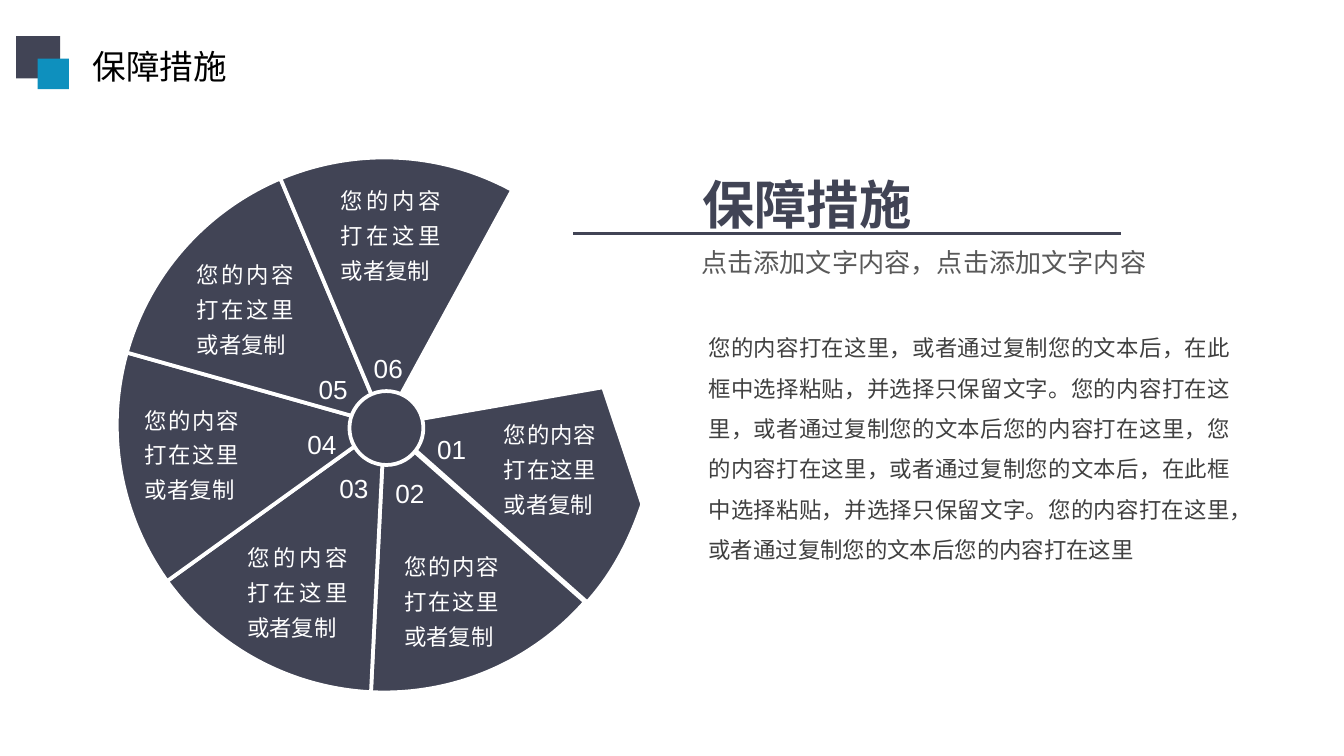
from lxml.etree import SubElement
from pptx import Presentation
from pptx.dml.color import RGBColor
from pptx.enum.shapes import MSO_CONNECTOR, MSO_SHAPE
from pptx.enum.text import MSO_AUTO_SIZE, PP_ALIGN
from pptx.oxml.ns import qn
from pptx.util import Pt

COLORS = {"navy": "414455", "blue": "0E90BE", "white": "FFFFFF",
          "black": "000000", "subtitle": "595959", "body": "404040"}
CJK = "Noto Sans CJK SC"
FORMATS = {
    "number": {"size": Pt(14), "name": "Arial"},
    "label": {"size": Pt(12), "name": CJK},
    "page_title": {"size": Pt(18), "name": CJK},
    "headline": {"size": Pt(28), "name": CJK, "bold": True},
    "subtitle": {"size": Pt(14), "name": CJK},
    "body": {"size": Pt(12), "name": CJK},
}
SEGMENT_LABEL = "您的内容打在这里或者复制"
SENTENCES = ("您的内容打在这里，或者通过复制您的文本后，在此框中选择粘贴，并选择只保留文字。"
             "您的内容打在这里，或者通过复制您的文本后您的内容打在这里")
SEGMENTS = [
    ("01", (163.5, 139.2), (200.2, 133.5, 63.8)),
    ("02", (141.2, 162.6), (146.9, 204.3, 64.8)),
    ("03", (111.2, 160.2), (62.7, 199.3, 68.4)),
    ("04", (94, 136.6), (8, 125.6, 64.4)),
    ("05", (100.1, 107.1), (35.7, 47.7, 66.4)),
    ("06", (129.6, 95.9), (112.8, 8.1, 68)),
]


def rgb(color):
    """Return the named palette colour."""
    return RGBColor.from_string(COLORS[color])


def paint(shape, fill, outline=None):
    """Fill a shape and outline it, or leave it without an outline."""
    shape.shadow.inherit = False
    shape.fill.solid()
    shape.fill.fore_color.rgb = rgb(fill)
    if outline:
        shape.line.color.rgb = rgb(outline)
        shape.line.width = Pt(2)
    else:
        shape.line.fill.background()


def add_text(slide, box, text, style, color, align=PP_ALIGN.LEFT, spacing=1.3, wrap=True):
    """Add a one-paragraph text box in one of the named formats."""
    frame = slide.shapes.add_textbox(*map(Pt, box)).text_frame
    frame.word_wrap = wrap
    frame.auto_size = MSO_AUTO_SIZE.SHAPE_TO_FIT_TEXT
    paragraph = frame.paragraphs[0]
    paragraph.alignment = align
    paragraph.line_spacing = spacing
    run = paragraph.add_run()
    run.text = text
    for attribute, value in FORMATS[style].items():
        setattr(run.font, attribute, value)
    run.font.color.rgb = rgb(color)
    SubElement(run.font._element, qn("a:ea"), typeface=FORMATS[style]["name"])


def add_header(slide, box):
    """Place the two overlapping squares and the page title."""
    left, top = box[:2]
    emblem = slide.shapes.add_group_shape()
    for x, y, width, height, color in [(0, 0, 23.6, 22.6, "navy"), (11.5, 12, 16.8, 16.4, "blue")]:
        square = emblem.shapes.add_shape(
            MSO_SHAPE.RECTANGLE, Pt(left + x), Pt(top + y), Pt(width), Pt(height))
        paint(square, color)
    add_text(slide, (left + 33.9, top + 1.5, 87, 28.8), "保障措施", "page_title", "black",
             spacing=1, wrap=False)


def add_pointed_segment(slide, center):
    """Draw the first segment, with a cut corner and a curved rim."""
    x, y = center
    rim = [(136.8, 42.5), (130.3, 61.9), (121, 79.9), (107.3, 95), (0, 0)]
    builder = slide.shapes.build_freeform(Pt(x + 115.9), Pt(y - 20.2))
    builder.add_line_segments([(Pt(x + dx), Pt(y + dy)) for dx, dy in rim])
    segment = builder.convert_to_shape()
    lines = list(segment._element.iter(qn("a:lnTo")))
    curve = lines[1].makeelement(qn("a:cubicBezTo"))
    lines[1].addprevious(curve)
    for line in lines[1:4]:
        curve.append(line[0])
        line.getparent().remove(line)
    paint(segment, "navy", "white")


def add_wheel(slide, box):
    """Place the six-sevenths wheel with its hub, numbers and labels."""
    left, top, size = box[:3]
    sweep = 360 / 7
    add_pointed_segment(slide, (left + size / 2 + 1.4, top + size / 2))
    for index in range(1, len(SEGMENTS)):
        start = -10 + index * sweep
        segment = slide.shapes.add_shape(
            MSO_SHAPE.PIE, Pt(left), Pt(top), Pt(size), Pt(size))
        segment.adjustments[0] = start * 0.6
        segment.adjustments[1] = (start + sweep) * 0.6
        paint(segment, "navy", "white")
    hub = slide.shapes.add_shape(
        MSO_SHAPE.OVAL, Pt(left + 124.6), Pt(top + 125.1), Pt(39.6), Pt(39.6))
    paint(hub, "navy", "white")
    for number, (x, y), (label_x, label_y, label_width) in SEGMENTS:
        add_text(slide, (left + x, top + y, 31.7, 29.5), number, "number", "white",
                 PP_ALIGN.CENTER)
        add_text(slide, (left + label_x, top + label_y, label_width, 64.1), SEGMENT_LABEL,
                 "label", "white", PP_ALIGN.JUSTIFY)


def add_message(slide, box):
    """Place the headline, its rule, the subtitle and the body text."""
    left, top, width = box[:3]
    add_text(slide, (left + 62.3, top, 274.3, 46.8), "保障措施", "headline", "navy")
    add_text(slide, (left + 61.6, top + 44.9, 257.8, 29.5),
             "点击添加文字内容，点击添加文字内容", "subtitle", "subtitle")
    rule = slide.shapes.add_connector(
        MSO_CONNECTOR.STRAIGHT, Pt(left), Pt(top + 46.8), Pt(left + 293.5), Pt(top + 46.8))
    rule.line.color.rgb = rgb("navy")
    rule.line.width = Pt(1.5)
    SubElement(rule._element.spPr, qn("a:effectLst"))
    add_text(slide, (left + 65.5, top + 90, width - 65.5, 157.7),
             "，".join([SENTENCES] * 2), "body", "body", PP_ALIGN.JUSTIFY, 1.5)


def main():
    """Build and save the slide."""
    presentation = Presentation()
    presentation.slide_width, presentation.slide_height = Pt(720), Pt(405)
    slide = presentation.slides.add_slide(presentation.slide_layouts[6])
    add_wheel(slide, (62.6, 84.4, 286.6, 286.6))
    add_message(slide, (307, 78.5, 359.3, 247.7))
    add_header(slide, (8.6, 19.4, 121, 30.3))
    presentation.save("out.pptx")


if __name__ == "__main__":
    main()
